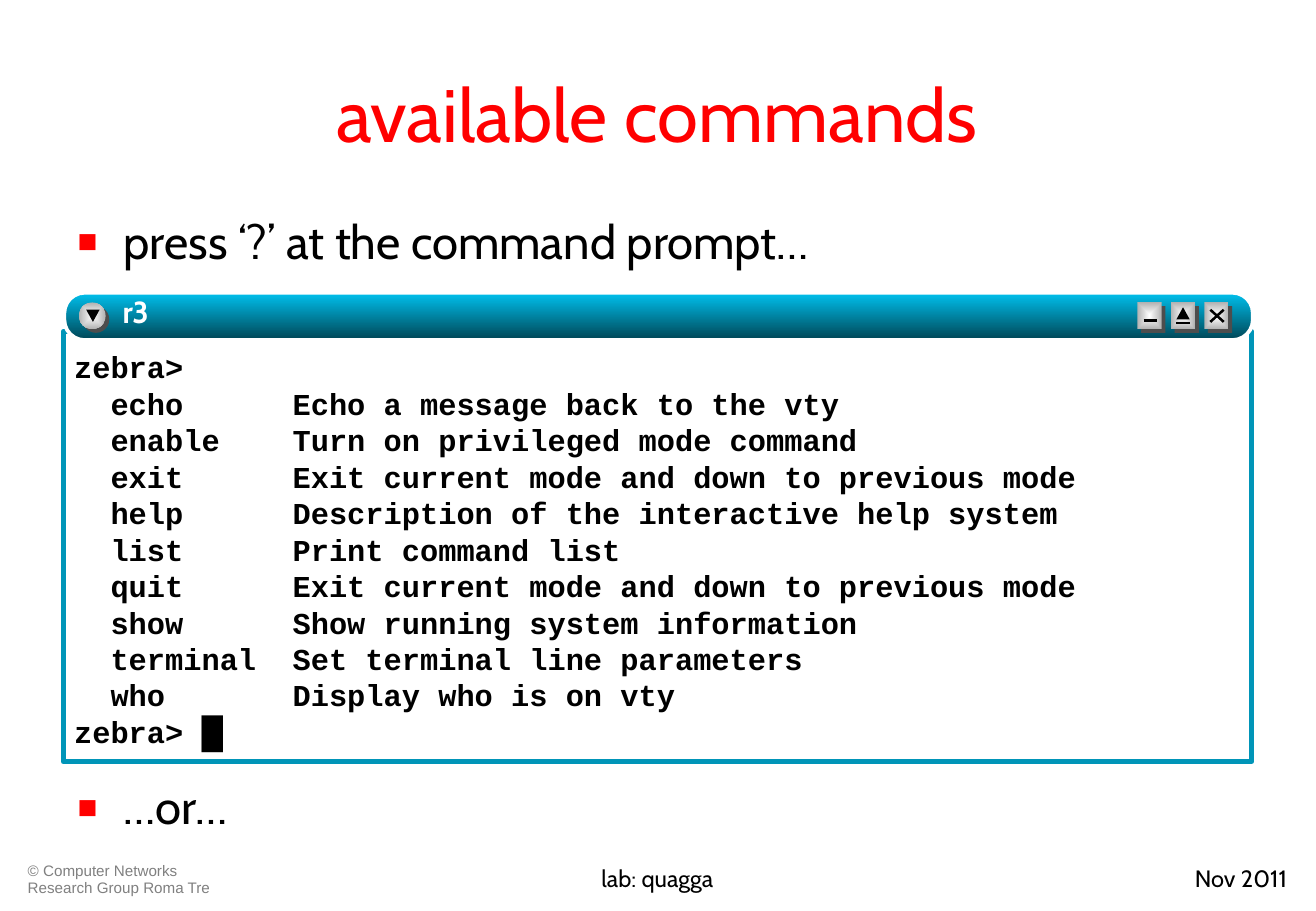
from typing import NamedTuple

from lxml import etree
from pptx import Presentation
from pptx import util as u
from pptx.dml.color import RGBColor
from pptx.enum import shapes, text
from pptx.oxml import ns

RED = RGBColor(0xFF, 0x00, 0x00)
BLACK = RGBColor(0x00, 0x00, 0x00)
WHITE = RGBColor(0xFF, 0xFF, 0xFF)
GREY = RGBColor(0x80, 0x80, 0x80)
DARK_GREY = RGBColor(0x4D, 0x4D, 0x4D)
BUTTON_LIGHT = RGBColor(0xFE, 0xFE, 0xFE)
BUTTON_DARK = RGBColor(0xB2, 0xB2, 0xB2)
FRAME_BLUE = RGBColor(0x00, 0x95, 0xB8)
BAR_LIGHT = RGBColor(0x00, 0xC1, 0xEE)
BAR_DARK = RGBColor(0x00, 0x45, 0x55)

CELL = u.Inches(0.1)
COLUMNS, ROWS = 108.4, 75
PROMPT = "zebra>"
COMMANDS = [
    ("echo", "Echo a message back to the vty"),
    ("enable", "Turn on privileged mode command"),
    ("exit", "Exit current mode and down to previous mode"),
    ("help", "Description of the interactive help system"),
    ("list", "Print command list"),
    ("quit", "Exit current mode and down to previous mode"),
    ("show", "Show running system information"),
    ("terminal", "Set terminal line parameters"),
    ("who", "Display who is on vty"),
]


class Box(NamedTuple):
    """An area of the slide in grid columns and rows."""
    left: float
    top: float
    width: float
    height: float

    def inner(self, left, top, width, height):
        """Return a box placed relative to this one."""
        return Box(self.left + left, self.top + top, width, height)

    def lengths(self):
        """Return the box as slide lengths."""
        return [round(value * CELL) for value in self]


def add_run(paragraph, words, font, size, color, bold=False):
    """Add one formatted run to a paragraph."""
    run = paragraph.add_run()
    run.text = words
    run.font.name = font
    run.font.size = u.Pt(size)
    run.font.bold = bold
    run.font.color.rgb = color
    return run


def set_margins(frame, left, top, right, bottom):
    """Wrap a text frame and set its margins in grid cells."""
    frame.word_wrap = True
    frame.margin_left, frame.margin_top = round(left * CELL), round(top * CELL)
    frame.margin_right, frame.margin_bottom = round(right * CELL), round(bottom * CELL)


def add_text(slide, box, margins=(1, 0.5, 1, 0.5)):
    """Add a wrapping text box and return its frame."""
    frame = slide.shapes.add_textbox(*box.lengths()).text_frame
    set_margins(frame, *margins)
    return frame


def add_plain_shape(slide, kind, box, color=None):
    """Add a preset shape without line or shadow."""
    shape = slide.shapes.add_shape(kind, *box.lengths())
    shape.shadow.inherit = False
    shape.line.fill.background()
    if color is None:
        shape.fill.background()
    else:
        shape.fill.solid()
        shape.fill.fore_color.rgb = color
    return shape


def set_gradient(shape, first, last):
    """Fill a shape with a gradient running downwards."""
    shape.fill.gradient()
    shape.fill.gradient_angle = 270
    for stop, color in zip(shape.fill.gradient_stops, (first, last)):
        stop.color.rgb = color


def add_stroke(slide, box):
    """Draw a black line from the top left to the bottom right of a box."""
    left, top, width, height = box.lengths()
    line = slide.shapes.add_connector(
        shapes.MSO_CONNECTOR.STRAIGHT, left, top, left + width, top + height)
    line.line.color.rgb = BLACK
    line.line.width = u.Pt(1.5)
    etree.SubElement(line._element.spPr, ns.qn("a:effectLst"))


def add_button(slide, kind, box):
    """Draw a raised button with its dark lower edge."""
    add_plain_shape(slide, kind, box.inner(0.3, 0.3, box.width, box.height), DARK_GREY)
    face = add_plain_shape(slide, kind, box)
    set_gradient(face, BUTTON_LIGHT, BUTTON_DARK)
    linear = face._element.spPr.find(".//" + ns.qn("a:lin"))
    radial = etree.Element(ns.qn("a:path"), {"path": "rect"})
    etree.SubElement(radial, ns.qn("a:fillToRect"), dict.fromkeys("ltrb", "50000"))
    linear.getparent().replace(linear, radial)


def add_title(slide, box):
    """Place and format the slide title."""
    title = slide.shapes.title
    title.left, title.top, title.width, title.height = box.lengths()
    frame = title.text_frame
    set_margins(frame, 1, 0.5, 1, 0.5)
    frame.vertical_anchor = text.MSO_ANCHOR.MIDDLE
    paragraph = frame.paragraphs[0]
    paragraph.alignment = text.PP_ALIGN.CENTER
    add_run(paragraph, "available commands", "Cabin", 44, RED)


def add_bullets(slide, box, gap):
    """Write the two bullets, leaving a gap in points between them."""
    frame = add_text(slide, box)
    for index, words in enumerate(("press ‘?’ at the command prompt…", "…or…")):
        paragraph = frame.add_paragraph() if index else frame.paragraphs[0]
        properties = paragraph._p.get_or_add_pPr()
        properties.set("marL", str(u.Inches(0.38)))
        properties.set("indent", str(-u.Inches(0.38)))
        color = etree.SubElement(properties, ns.qn("a:buClr"))
        etree.SubElement(color, ns.qn("a:srgbClr"), val=str(RED))
        etree.SubElement(properties, ns.qn("a:buSzPct"), val="70000")
        etree.SubElement(properties, ns.qn("a:buFont"), typeface="Arial")
        etree.SubElement(properties, ns.qn("a:buChar"), char="■")
        paragraph.line_spacing = 0.9
        if index:
            paragraph.space_before = u.Pt(gap)
        add_run(paragraph, words, "Cabin", 28, BLACK)


def add_terminal(slide, box):
    """Draw the terminal frame with its command listing."""
    terminal = add_plain_shape(slide, shapes.MSO_SHAPE.RECTANGLE, box)
    terminal.line.color.rgb = FRAME_BLUE
    terminal.line.width = u.Pt(3)
    frame = terminal.text_frame
    set_margins(frame, 0.9, 1.4, 0.8, 0.4)
    frame.vertical_anchor = text.MSO_ANCHOR.TOP
    listing = [f"  {name:<10}{meaning}" for name, meaning in COMMANDS]
    for index, words in enumerate([PROMPT, *listing, PROMPT + " "]):
        paragraph = frame.add_paragraph() if index else frame.paragraphs[0]
        paragraph.alignment = text.PP_ALIGN.LEFT
        paragraph.line_spacing = u.Pt(21.6)
        add_run(paragraph, words, "Courier New", 18, BLACK, True)
    add_run(paragraph, "█", "Arial", 18, BLACK, True)


def add_title_bar(slide, box):
    """Draw the window bar with its buttons and name."""
    kinds = shapes.MSO_SHAPE
    bar = add_plain_shape(slide, kinds.ROUNDED_RECTANGLE, box)
    bar.adjustments[0] = 0.43
    set_gradient(bar, BAR_LIGHT, BAR_DARK)
    bar.line.color.rgb = WHITE
    bar.line.width = u.Pt(2.25)

    menu = box.inner(1.2, 0.8, 2.2, 2.2)
    add_button(slide, kinds.OVAL, menu)
    arrow = add_plain_shape(
        slide, kinds.ISOSCELES_TRIANGLE, menu.inner(0.6, 0.6, 1.1, 1), BLACK)
    arrow.rotation = 180

    minimize, enlarge, close = [
        box.inner(88.4 + 2.75 * index, 0.8, 2, 2.2) for index in range(3)]
    for button in (minimize, enlarge, close):
        add_button(slide, kinds.RECTANGLE, button)
    add_stroke(slide, minimize.inner(0.5, 1.5, 1.1, 0))
    add_stroke(slide, enlarge.inner(0.45, 1.7, 1.1, 0))
    add_plain_shape(
        slide, kinds.ISOSCELES_TRIANGLE, enlarge.inner(0.45, 0.4, 1.1, 1), BLACK)
    add_stroke(slide, close.inner(0.5, 0.6, 1.1, 1))
    add_stroke(slide, close.inner(0.5, 1.6, 1.1, -1))

    frame = add_text(slide, box.inner(4.8, 0, 72.4, box.height), (0, 0, 0, 0))
    run = add_run(frame.paragraphs[0], "r3", "Cabin", 18, WHITE, True)
    effects = etree.Element(ns.qn("a:effectLst"))
    shadow = etree.SubElement(
        effects, ns.qn("a:outerShdw"), dist="18000", dir="2700000")
    etree.SubElement(shadow, ns.qn("a:srgbClr"), val=str(BLACK))
    run._r.rPr.find(ns.qn("a:solidFill")).addnext(effects)


def add_footer(slide, box):
    """Write the copyright line, the lab name and the date."""
    align = text.PP_ALIGN
    for left, width, words, font, size, color, alignment in (
            (0, 18.8, "© Computer Networks Research Group Roma Tre",
             "Arial", 9, GREY, align.LEFT),
            (26.4, 52.9, "lab: quagga", "Cabin", 14, BLACK, align.CENTER),
            (81, 24.7, "Nov 2011", "Cabin", 14, BLACK, align.RIGHT)):
        frame = add_text(slide, box.inner(left, 0, width, box.height))
        paragraph = frame.paragraphs[0]
        paragraph.alignment = alignment
        if alignment == align.LEFT:
            paragraph.line_spacing = 0.9
        add_run(paragraph, words, font, size, color)


def main():
    """Build the slide and save it."""
    presentation = Presentation()
    presentation.slide_width = round(COLUMNS * CELL)
    presentation.slide_height = ROWS * CELL
    slide = presentation.slides.add_slide(presentation.slide_layouts[5])
    add_title(slide, Box(5.4, 3, 97.5, 12.5))
    add_bullets(slide, Box(5.4, 17.5, 97.5, 53.9), 305)
    add_terminal(slide, Box(5.2, 27.3, 97.9, 35.4))
    add_title_bar(slide, Box(5.3, 24.1, 97.9, 3.9))
    add_footer(slide, Box(1.3, 70.6, 105.7, 3.6))
    presentation.save("out.pptx")


if __name__ == "__main__":
    main()
